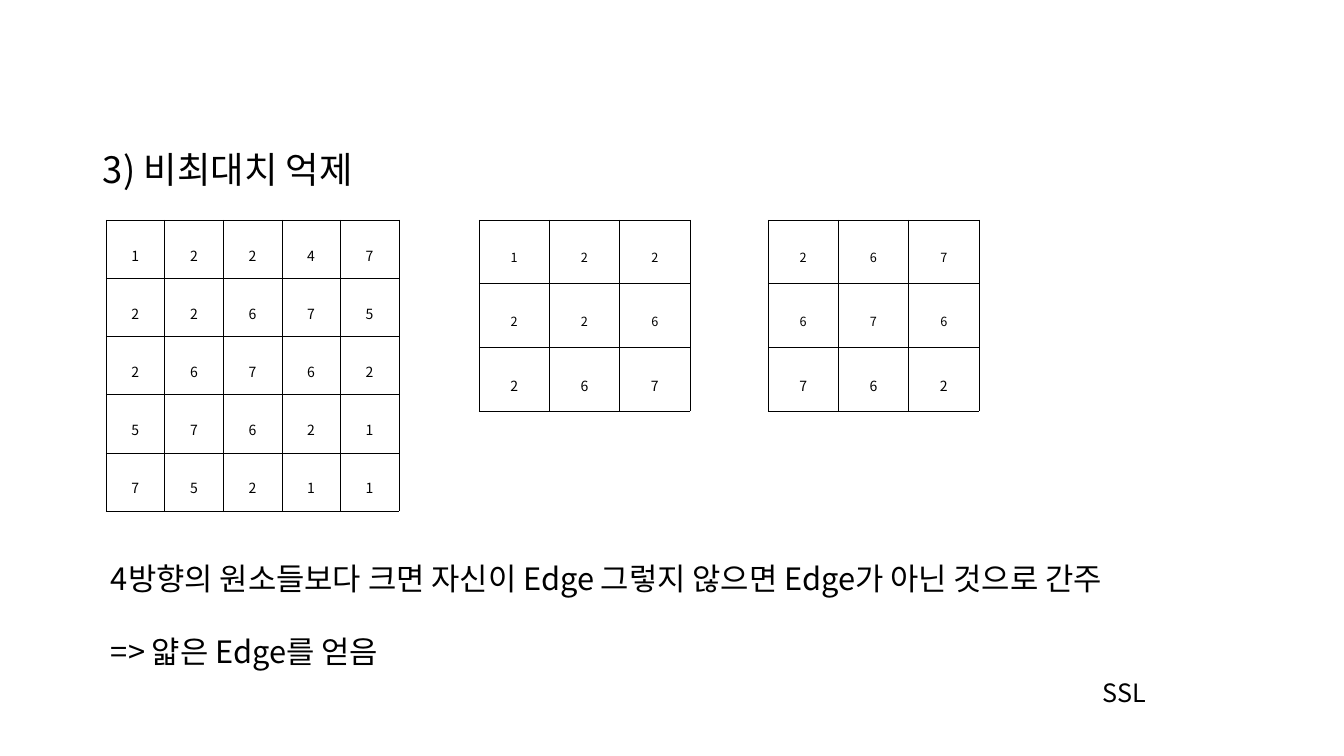
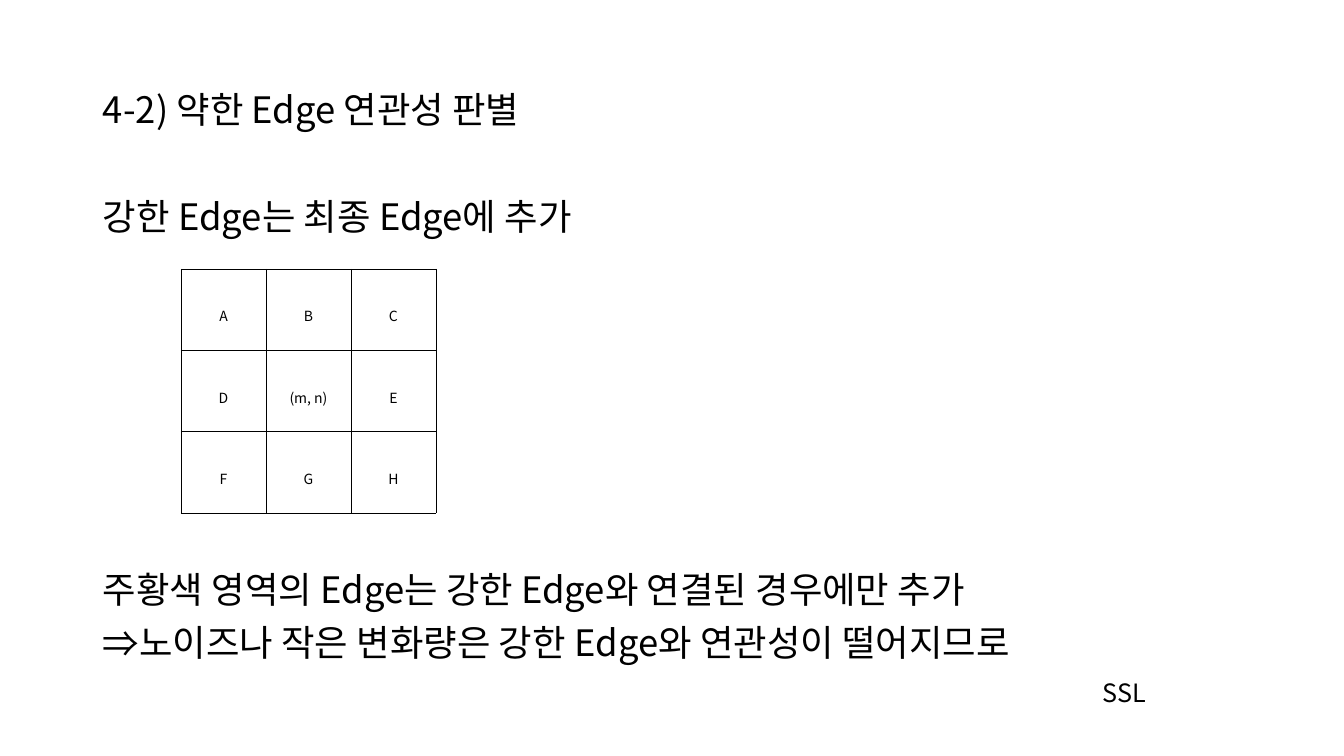
"""Build two slides on non-maximum suppression and weak edge linking."""
from dataclasses import dataclass

from lxml import etree
from pptx import Presentation
from pptx.dml.color import RGBColor
from pptx.enum.text import MSO_ANCHOR, MSO_AUTO_SIZE, PP_ALIGN
from pptx.oxml.ns import qn
from pptx.util import Emu, Pt

TOP, MIDDLE = MSO_ANCHOR.TOP, MSO_ANCHOR.MIDDLE
LEFT, CENTER = PP_ALIGN.LEFT, PP_ALIGN.CENTER
NO_FIT = MSO_AUTO_SIZE.NONE
SCALE = 914400 / 100.8


@dataclass(frozen=True)
class Theme:
    font: str = "Noto Sans CJK KR"
    ink: str = "000000"
    head: tuple = (26, 28)
    note: tuple = (22, 26)
    foot: tuple = (18, 22)
    cell: int = 10
    small: int = 9
    rule: float = 0.28


THEME = Theme()


def px(num):
    return Emu(round(num * SCALE))


def dress(para, size, lead, align=LEFT):
    para.alignment = align
    para.line_spacing = lead
    for run in para.runs:
        font = run.font
        font.size = Pt(size)
        font.color.rgb = RGBColor.from_string(THEME.ink)
        font.name = THEME.font
        etree.SubElement(run.font._element, qn("a:ea"), typeface=THEME.font)


SLIDES = [
    {
        "title": "3) 비최대치 억제",
        "top": 152,
        "body": (111, 560, 1089, 115),
        "type": THEME.note,
        "lines": [
            ("4방향의 원소들보다 크면 자신이 Edge 그렇지 않으면 Edge가 아닌 것으로 간주", 0, ""),
            ("=> 얇은 Edge를 얻음", 37, ""),
        ],
        "grids": [
            ((106, 220, 293, 291), THEME.cell, ("12247", "22675", "26762", "57621", "75211")),
            ((479, 220, 211, 191), THEME.small, ("122", "226", "267")),
            ((768, 220, 211, 191), THEME.small, ("267", "676", "762")),
        ],
    },
    {
        "title": "4-2) 약한 Edge 연관성 판별",
        "top": 92,
        "body": (103, 199, 1139, 470),
        "type": THEME.head,
        "lines": [
            ("강한 Edge는 최종 Edge에 추가", 0, ""),
            ("주황색 영역의 Edge는 강한 Edge와 연결된 경우에만 추가", 333, ""),
            ("노이즈나 작은 변화량은 강한 Edge와 연관성이 떨어지므로", 14, "⇒"),
        ],
        "grids": [
            ((181, 269, 255, 244), THEME.cell, ("ABC", ("D", "(m, n)", "E"), "FGH")),
        ],
    },
]

deck = Presentation()
deck.slide_width, deck.slide_height = px(1344), px(756)
layout = deck.slide_layouts[1]

for page in SLIDES:
    slide = deck.slides.add_slide(layout)
    title, body = slide.placeholders
    places = ((title, (103, page["top"], 1139, 45)), (body, page["body"]))
    for shape, place in places:
        shape.left, shape.top, shape.width, shape.height = map(px, place)
        frame = shape.text_frame
        frame.auto_size = NO_FIT
        frame.vertical_anchor = TOP
        frame.margin_left = frame.margin_right = 0
        frame.margin_top = frame.margin_bottom = 0

    title.text_frame.text = page["title"]
    size, lead = THEME.head
    dress(title.text_frame.paragraphs[0], size, Pt(lead))

    frame = body.text_frame
    frame.text = "\n".join(text for text, gap, mark in page["lines"])
    size, lead = page["type"]
    for para, (text, gap, mark) in zip(frame.paragraphs, page["lines"]):
        dress(para, size, Pt(lead))
        para.space_before = px(gap)
        props = para._p.get_or_add_pPr()
        dent = px(25) if mark else 0
        props.set("marL", str(dent))
        props.set("indent", str(-dent))
        if mark:
            etree.SubElement(props, qn("a:buFont"), typeface=THEME.font)
            etree.SubElement(props, qn("a:buChar"), char=mark)
        else:
            etree.SubElement(props, qn("a:buNone"))

    for place, size, rows in page["grids"]:
        count = len(rows)
        table = slide.shapes.add_table(count, count, *map(px, place)).table
        table.first_row = table.horz_banding = False
        for r, row in enumerate(rows):
            for c, text in enumerate(row):
                cell = table.cell(r, c)
                cell.text = text
                cell.vertical_anchor = MIDDLE
                cell.margin_left = cell.margin_right = px(7)
                cell.margin_top = cell.margin_bottom = px(2)
                last = r == count - 1
                dress(cell.text_frame.paragraphs[0], THEME.cell if last else size, 1.6, CENTER)
                props = cell._tc.get_or_add_tcPr()
                for side in ("lnL", "lnR", "lnT", "lnB"):
                    line = etree.SubElement(props, qn("a:" + side), w=str(Pt(THEME.rule)))
                    fill = etree.SubElement(line, qn("a:solidFill"))
                    etree.SubElement(fill, qn("a:srgbClr"), val=THEME.ink)
                cell.fill.background()

foot = deck.slides[0].shapes.add_textbox(px(1103), px(677), px(60), px(31))
frame = foot.text_frame
frame.word_wrap = True
frame.margin_left = frame.margin_right = 0
frame.margin_top = frame.margin_bottom = 0
frame.text = "SSL"
size, lead = THEME.foot
dress(frame.paragraphs[0], size, Pt(lead))
layout.shapes.element.append(foot.element)

deck.save("out.pptx")
